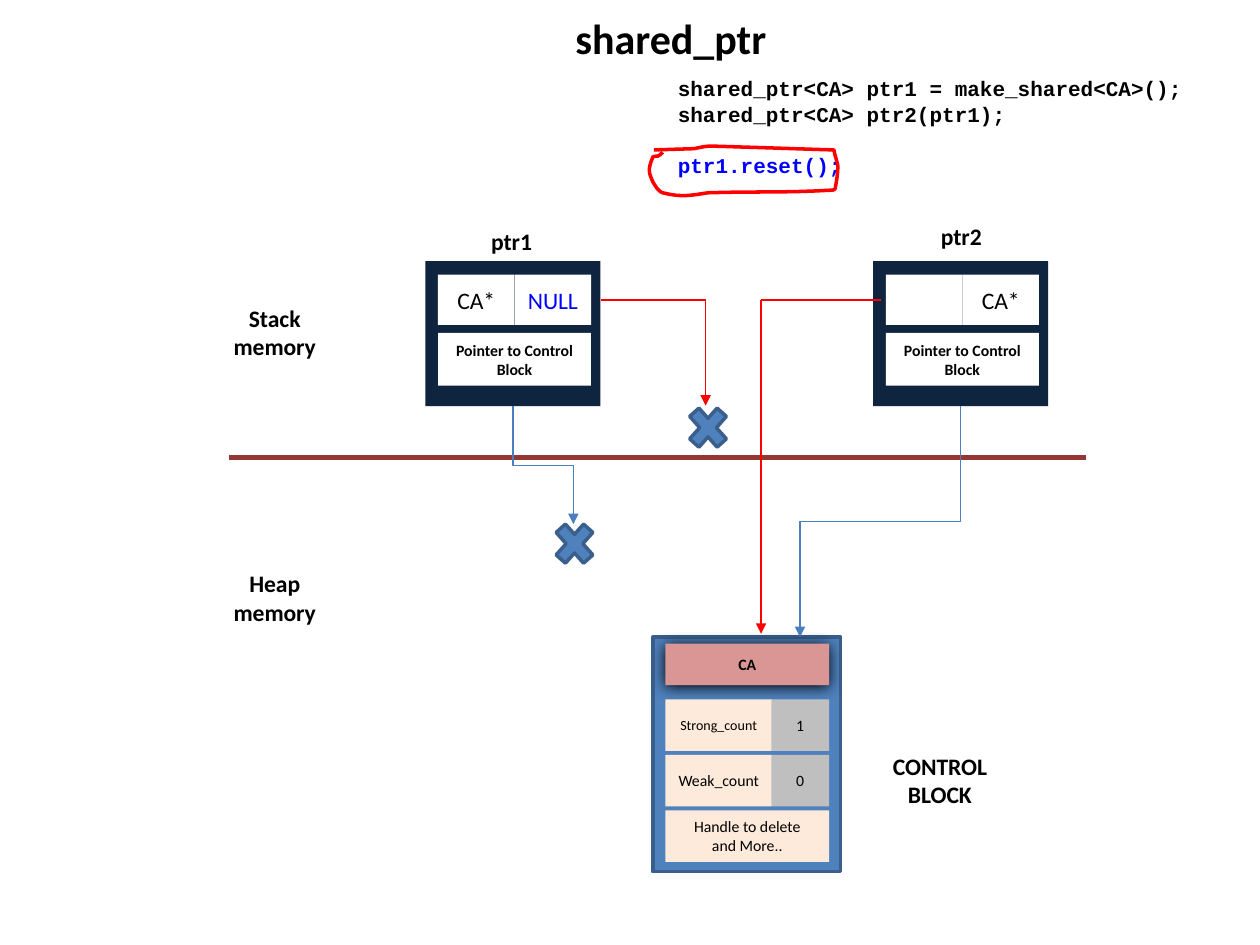
"""Draw the shared_ptr reset memory diagram."""
import pptx
import pptx.dml.color
import pptx.enum.shapes
import pptx.enum.text
import pptx.oxml
import pptx.oxml.ns
import pptx.util

Pt = pptx.util.Pt
SHAPE = pptx.enum.shapes.MSO_SHAPE
LINE = pptx.enum.shapes.MSO_CONNECTOR
ALIGN = pptx.enum.text.PP_ALIGN
NS = pptx.oxml.ns.nsdecls("a")
BLACK, WHITE, BLUE, RED = "000000", "FFFFFF", "0000FF", "FF0000"
NAVY, STEEL, EDGE, ARROW = "0F243E", "4F81BD", "3A5F8C", "4B7EBC"
ROSE, PEACH, GREY, MAROON = "D99694", "FDEADA", "BFBFBF", "953735"


def rgb(value):
    return pptx.dml.color.RGBColor.from_string(value)


def bezier(p0, p1, p2, p3, steps=8):
    for i in range(1, steps + 1):
        t = i / steps
        u = 1 - t
        yield tuple(
            Pt(u**3 * a + 3 * u * u * t * b + 3 * u * t * t * c + t**3 * d)
            for a, b, c, d in zip(p0, p1, p2, p3)
        )


class Diagram:
    def __init__(self, slide, font="Calibri"):
        self.slide, self.font = slide, font
        self.shapes = slide.shapes

    def group(self):
        self.shapes = self.slide.shapes.add_group_shape().shapes

    def ungroup(self):
        self.shapes = self.slide.shapes

    def set_text(self, tf, text, size, color=BLACK, bold=False, font=None, align=ALIGN.CENTER):
        tf.word_wrap = True
        tf.text = text
        for p in tf.paragraphs:
            p.alignment = align
            for r in p.runs:
                r.font.name = font or self.font
                r.font.size, r.font.bold = Pt(size), bold
                r.font.color.rgb = rgb(color)

    def box(self, x, y, w, h, fill, text="", size=9, color=BLACK, bold=False,
            edge=None, kind=SHAPE.RECTANGLE):
        sp = self.shapes.add_shape(kind, Pt(x), Pt(y), Pt(w), Pt(h))
        sp.shadow.inherit = False
        sp.fill.solid()
        sp.fill.fore_color.rgb = rgb(fill)
        if edge:
            sp.line.color.rgb, sp.line.width = rgb(edge), Pt(2)
        else:
            sp.line.fill.background()
        if text:
            sp.text_frame.vertical_anchor = pptx.enum.text.MSO_ANCHOR.MIDDLE
            self.set_text(sp.text_frame, text, size, color, bold)
        return sp

    def glow(self, sp, blur, dist):
        effects = sp._element.spPr.find(pptx.oxml.ns.qn("a:effectLst"))
        effects.append(pptx.oxml.parse_xml(
            f'<a:outerShdw {NS} blurRad="{Pt(blur)}" dist="{Pt(dist)}" dir="5400000" '
            f'rotWithShape="0"><a:srgbClr val="{BLACK}"/></a:outerShdw>'))

    def label(self, x, y, w, h, text, size=13.5, **style):
        sp = self.shapes.add_textbox(Pt(x), Pt(y), Pt(w), Pt(h))
        self.set_text(sp.text_frame, text, size, bold=True, **style)
        return sp.text_frame

    def line(self, x1, y1, x2, y2, color, width=0.75, arrow=False, kind=LINE.STRAIGHT):
        c = self.shapes.add_connector(kind, Pt(x1), Pt(y1), Pt(x2), Pt(y2))
        c.line.color.rgb, c.line.width = rgb(color), Pt(width)
        if arrow:
            c.line._get_or_add_ln().append(
                pptx.oxml.parse_xml(f'<a:tailEnd {NS} type="triangle"/>'))
        c._element.spPr.append(pptx.oxml.parse_xml(f"<a:effectLst {NS}/>"))
        return c

    def down_elbow(self, x1, y1, x2, y2, color):
        w, h = y2 - y1, abs(x2 - x1)
        left, top = (x1 + x2 - w) / 2, (y1 + y2 - h) / 2
        begin, end = (left, left + w) if x2 < x1 else (left + w, left)
        c = self.line(begin, top, end, top + h, color, arrow=True, kind=LINE.ELBOW)
        c._element.spPr.xfrm.rot = 90 if x2 < x1 else 270

    def curve(self, start, corner, curves, color, width):
        builder = self.shapes.build_freeform(Pt(start[0]), Pt(start[1]), scale=1.0)
        points, last = [(Pt(corner[0]), Pt(corner[1]))], corner
        for c1, c2, end in curves:
            points.extend(bezier(last, c1, c2, end))
            last = end
        builder.add_line_segments(points, close=False)
        sp = builder.convert_to_shape()
        sp.shadow.inherit = False
        sp.fill.background()
        sp.line.color.rgb, sp.line.width = rgb(color), Pt(width)

    def pointer(self, x, y, cells):
        self.group()
        self.box(x, y, 100, 83, NAVY)
        for i, (text, color) in enumerate(cells):
            self.box(x + 7.2 + 43.8 * i, y + 7.7, 43.7, 28.8, WHITE, text, 13.5, color)
        self.box(x + 7.2, y + 41, 87.4, 30.2, WHITE, "Pointer to Control Block", bold=True)
        self.ungroup()

    def control_block(self, x, y):
        self.group()
        self.box(x, y, 107.3, 134, STEEL, edge=EDGE)
        left = x + 7.2
        self.glow(self.box(left, y + 3.7, 93.6, 23.8, ROSE, "CA", bold=True), 8.5, 1)
        rows = [("Strong_count", 8, "1"), ("Weak_count", 9, "0")]
        for i, (name, size, count) in enumerate(rows):
            top = y + 35.5 + 31.7 * i
            self.box(left, top, 61, 29.5, PEACH, name, size)
            self.box(left + 60.6, top, 33, 29.5, GREY, count)
        self.box(left, y + 98.9, 93.6, 29.5, PEACH, "Handle to delete\nand More..")
        self.ungroup()


def main():
    prs = pptx.Presentation()
    prs.slide_width, prs.slide_height = Pt(720), Pt(540)
    d = Diagram(prs.slides.add_slide(prs.slide_layouts[6]))

    d.pointer(499, 149.2, [("", BLACK), ("CA*", BLACK)])
    d.pointer(243.1, 149.2, [("CA*", BLACK), ("NULL", BLUE)])
    d.control_block(373, 364.1)

    d.line(131, 261.4, 620.6, 261.4, MAROON, 3)
    for x, y, text in [(498.2, 426.2, "CONTROL BLOCK"), (118.1, 169.9, "Stack memory"),
                       (118.1, 321.8, "Heap memory")]:
        d.label(x, y, 77.8, 40.3, text)
    for x, y, text in [(272.2, 126, "ptr1"), (529.2, 123.1, "ptr2")]:
        d.label(x, y, 40.3, 23.8, text)

    for x1, x2, y2 in [(343.4, 403.2, 231.8), (503.3, 434.9, 362.2)]:
        d.line(x1, 171.4, x2, 171.4, RED)
        d.line(x2, 171.4, x2, y2, RED, arrow=True)
    d.down_elbow(293.1, 232.2, 327.6, 299.5, ARROW)
    d.down_elbow(549, 232.2, 457.2, 364.1, ARROW)

    d.label(314.6, 3.6, 137.5, 36, "shared_ptr", 24)
    code = ["shared_ptr<CA> ptr1 = make_shared<CA>();", "shared_ptr<CA> ptr2(ptr1);",
            "ptr1.reset();"]
    tf = d.label(380.2, 39.6, 325.4, 79.9, "\n".join(code), 12,
                 font="Courier New", align=ALIGN.LEFT)
    for p in tf.paragraphs:
        p.line_spacing = Pt(14.6)
    p.space_before = Pt(14.6)
    p.runs[0].font.color.rgb = rgb(BLUE)

    for x, y in [(389.5, 227.5), (313.2, 293.8)]:
        d.box(x, y, 30.2, 33.8, STEEL, edge=EDGE, kind=SHAPE.MATH_MULTIPLY)
    d.curve((373.7, 85.7), (396.7, 85), [
        ((400.3, 84.2), (403.2, 83.5), (406.8, 83.5)),
        ((429.8, 84.2), (452.9, 85), (476.6, 85.7)),
        ((476.6, 87.1), (478.8, 93.6), (478.8, 95)),
        ((478.8, 99.4), (478.1, 103), (477.4, 107.3)),
        ((477.4, 108), (476.6, 108.7), (475.2, 108.7)),
        ((451.4, 110.2), (428.4, 109.4), (404.6, 110.2)),
        ((395.3, 111.6), (389.5, 113), (378.7, 110.2)),
        ((375.8, 109.4), (373, 103.7), (373, 103.7)),
        ((370.8, 98.6), (370.1, 97.2), (373, 90)),
        ((373, 89.3), (375.1, 89.3), (375.8, 89.3)),
        ((377.3, 88.6), (378.7, 87.1), (378.7, 87.1)),
    ], RED, 2)
    prs.save("out.pptx")


if __name__ == "__main__":
    main()
